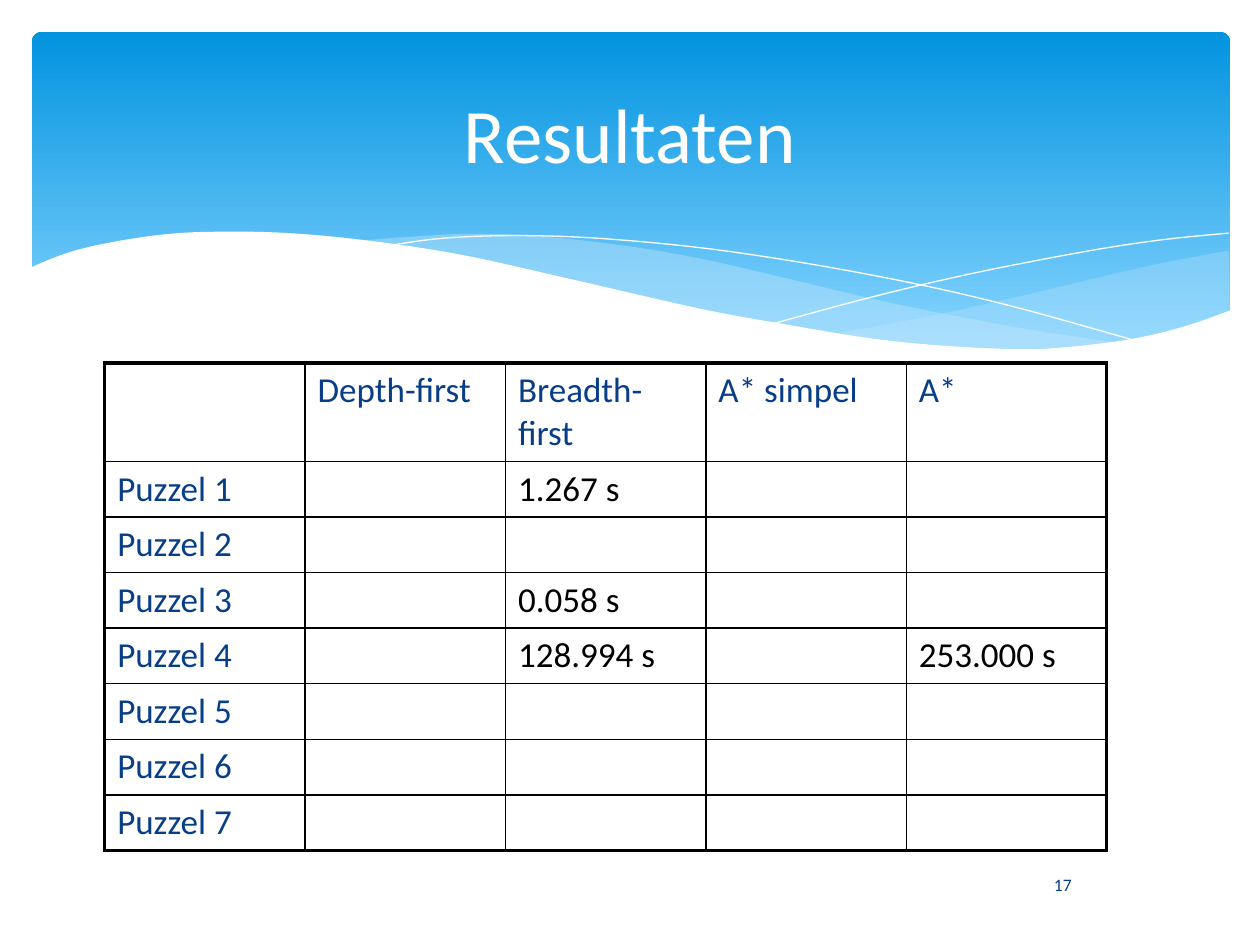
from dataclasses import dataclass
from typing import Any, Optional

from lxml.etree import SubElement
from pptx import Presentation
from pptx.dml.color import RGBColor
from pptx.enum.shapes import MSO_SHAPE
from pptx.enum.text import MSO_ANCHOR, PP_ALIGN
from pptx.oxml.ns import qn
from pptx.util import Cm, Pt

Point = tuple[float, float]
Curve = tuple[Point, ...]


@dataclass(frozen=True)
class Theme:
    font: str = "Calibri"
    navy: str = "073E87"
    black: str = "000000"
    white: str = "FFFFFF"
    mist: str = "C6E7FC"
    deep: str = "0293E0"
    light: str = "83D3FE"
    head: float = 44
    body: float = 20
    small: float = 10
    thick: float = 2.25
    thin: float = 1


@dataclass(frozen=True)
class Wave:
    curves: tuple[Curve, ...]
    fill: Optional[str] = None
    alpha: int = 100


THEME = Theme()

WAVES = (
    Wave((
        ((24.77, 5.05), (23.39, 5.31), (21.87, 5.66), (19.79, 6.15), (17.93, 6.53),
         (16.79, 6.73)),
        ((16.79, 6.73), (18.59, 6.95), (20.4, 7.06), (21.44, 7.04), (22.38, 6.96),
         (23.39, 6.78), (24.1, 6.53), (24.79, 6.27)),
    ), THEME.mist, 29),
    Wave((
        ((22.68, 6.93), (20.5, 6.6), (17.93, 6.1), (15.98, 5.64), (14.1, 5.21),
         (12.42, 4.93), (10.67, 4.75), (9.17, 4.72), (7.26, 4.85)),
        ((7.26, 4.85), (9.19, 5.16), (11.4, 5.64), (13.46, 6.1), (15.7, 6.55),
         (17.65, 6.86), (19.33, 7.04), (20.78, 7.06), (21.77, 7.04), (22.68, 6.93)),
    ), THEME.mist, 40),
    Wave((((7.85, 4.95), (8.97, 4.8), (10.57, 4.75), (12.42, 4.83), (14.78, 5.08),
           (17.65, 5.56), (20.19, 6.12), (23.04, 6.91)),)),
    Wave((((15.57, 6.53), (17.65, 5.97), (19.71, 5.49), (22, 5.05), (23.47, 4.83),
           (24.77, 4.7)),)),
    Wave((
        ((24.82, 6.25), (23.88, 6.58), (22.83, 6.83), (21.59, 6.99), (20.55, 7.04),
         (18.9, 6.96), (17.48, 6.81), (15.9, 6.55), (14.1, 6.22), (11.35, 5.59),
         (9.27, 5.13), (7.42, 4.85), (5.84, 4.7), (4.5, 4.67), (3.35, 4.72),
         (2.16, 4.9), (1.32, 5.11), (0.58, 5.41)),
        ((0.58, 8.36), (24.82, 8.36)),
    ), THEME.white),
)

HEADS = ("", "Depth-first", "Breadth-first", "A* simpel", "A*")
TIMES = {(1, 2): "1.267 s", (3, 2): "0.058 s", (4, 2): "128.994 s", (4, 4): "253.000 s"}
ROWS = 8


def put(item: Any, vals: dict[str, Any]) -> None:
    for name, val in vals.items():
        setattr(item, name, val)


def tint(code: str) -> RGBColor:
    return RGBColor.from_string(code)


def write(frame: Any, text: str, size: float, code: str, align: PP_ALIGN) -> None:
    para = frame.paragraphs[0]
    para.alignment = align
    run = para.add_run()
    run.text = text
    put(run.font, {"name": THEME.font, "size": Pt(size)})
    run.font.color.rgb = tint(code)


def smooth(curve: Curve, steps: int = 6) -> list[Point]:
    if len(curve) < 3:
        return list(curve)
    ext = (curve[0], *curve, curve[-1])
    out = [curve[0]]
    for a, b, c, d in zip(ext, ext[1:], ext[2:], ext[3:]):
        for step in range(1, steps + 1):
            t = step / steps
            x, y = (
                (2 * q + (r - p) * t + (2 * p - 5 * q + 4 * r - s) * t**2
                 + (3 * q - p - 3 * r + s) * t**3) / 2
                for p, q, r, s in zip(a, b, c, d)
            )
            out.append((x, y))
    return out


def draw_wave(slide: Any, wave: Wave) -> None:
    dots = [(Cm(x), Cm(y)) for curve in wave.curves for x, y in smooth(curve)]
    pen = slide.shapes.build_freeform(*dots[0], scale=1.0)
    pen.add_line_segments(dots[1:], close=wave.fill is not None)
    shape = pen.convert_to_shape()
    shape.shadow.inherit = False
    if wave.fill is None:
        shape.fill.background()
        shape.line.color.rgb = tint(THEME.white)
        shape.line.width = Pt(0)
        return
    shape.line.fill.background()
    shape.fill.solid()
    shape.fill.fore_color.rgb = tint(wave.fill)
    if wave.alpha < 100:
        tone = shape.element.spPr.find(qn("a:solidFill"))[0]
        SubElement(tone, qn("a:alpha"), val=str(wave.alpha * 1000))


def draw_sky(slide: Any) -> None:
    sky = slide.shapes.add_shape(
        MSO_SHAPE.ROUNDED_RECTANGLE, Cm(0.64), Cm(0.64), Cm(24.16), Cm(6.86))
    sky.adjustments[0] = 0.03
    sky.shadow.inherit = False
    sky.line.fill.background()
    sky.fill.gradient()
    sky.fill.gradient_angle = 270
    for stop, code, place in zip(
            sky.fill.gradient_stops, (THEME.deep, THEME.light), (0, 0.9)):
        stop.color.rgb = tint(code)
        stop.position = place


def edge(cell: Any, row: int, col: int) -> None:
    props = cell._tc.get_or_add_tcPr()
    outer = {"L": col == 0, "R": col == len(HEADS) - 1, "T": row == 0, "B": row == ROWS - 1}
    for side, bold in outer.items():
        width = Pt(THEME.thick if bold else THEME.thin)
        line = SubElement(props, qn(f"a:ln{side}"), w=str(width))
        fill = SubElement(line, qn("a:solidFill"))
        SubElement(fill, qn("a:srgbClr"), val=THEME.black)


def draw_table(slide: Any) -> None:
    wide, high, top = Cm(4.04), Cm(1.12), Cm(1.97)
    table = slide.shapes.add_table(
        ROWS, len(HEADS), Cm(2.11), Cm(7.32), wide * len(HEADS), top + high * (ROWS - 1)).table
    put(table, {"first_row": False, "horz_banding": False})
    for col in table.columns:
        col.width = wide
    for row, band in enumerate(table.rows):
        band.height = high if row else top
        for col, cell in enumerate(band.cells):
            edge(cell, row, col)
            cell.fill.background()
            label = f"Puzzel {row}" if row and not col else HEADS[col]
            text = TIMES.get((row, col), "") if row and col else label
            if text:
                code = THEME.black if row and col else THEME.navy
                write(cell.text_frame, text, THEME.body, code, PP_ALIGN.LEFT)


def main() -> None:
    deck = Presentation()
    put(deck, {"slide_width": Cm(25.4), "slide_height": Cm(19.05)})
    slide = deck.slides.add_slide(deck.slide_layouts[5])
    draw_sky(slide)
    for wave in WAVES:
        draw_wave(slide, wave)

    mid = {"vertical_anchor": MSO_ANCHOR.MIDDLE, "word_wrap": True}
    page = slide.shapes.add_textbox(Cm(19.81), Cm(17.32), Cm(3.23), Cm(1.02))
    put(page.text_frame, mid)
    write(page.text_frame, "17", THEME.small, THEME.navy, PP_ALIGN.CENTER)

    title = slide.shapes.title
    put(title, {"left": Cm(1.27), "top": Cm(0.94), "width": Cm(22.86), "height": Cm(3.48)})
    put(title.text_frame, mid)
    write(title.text_frame, "Resultaten", THEME.head, THEME.white, PP_ALIGN.CENTER)
    title.element.getparent().append(title.element)

    draw_table(slide)
    deck.save("out.pptx")


if __name__ == "__main__":
    main()
